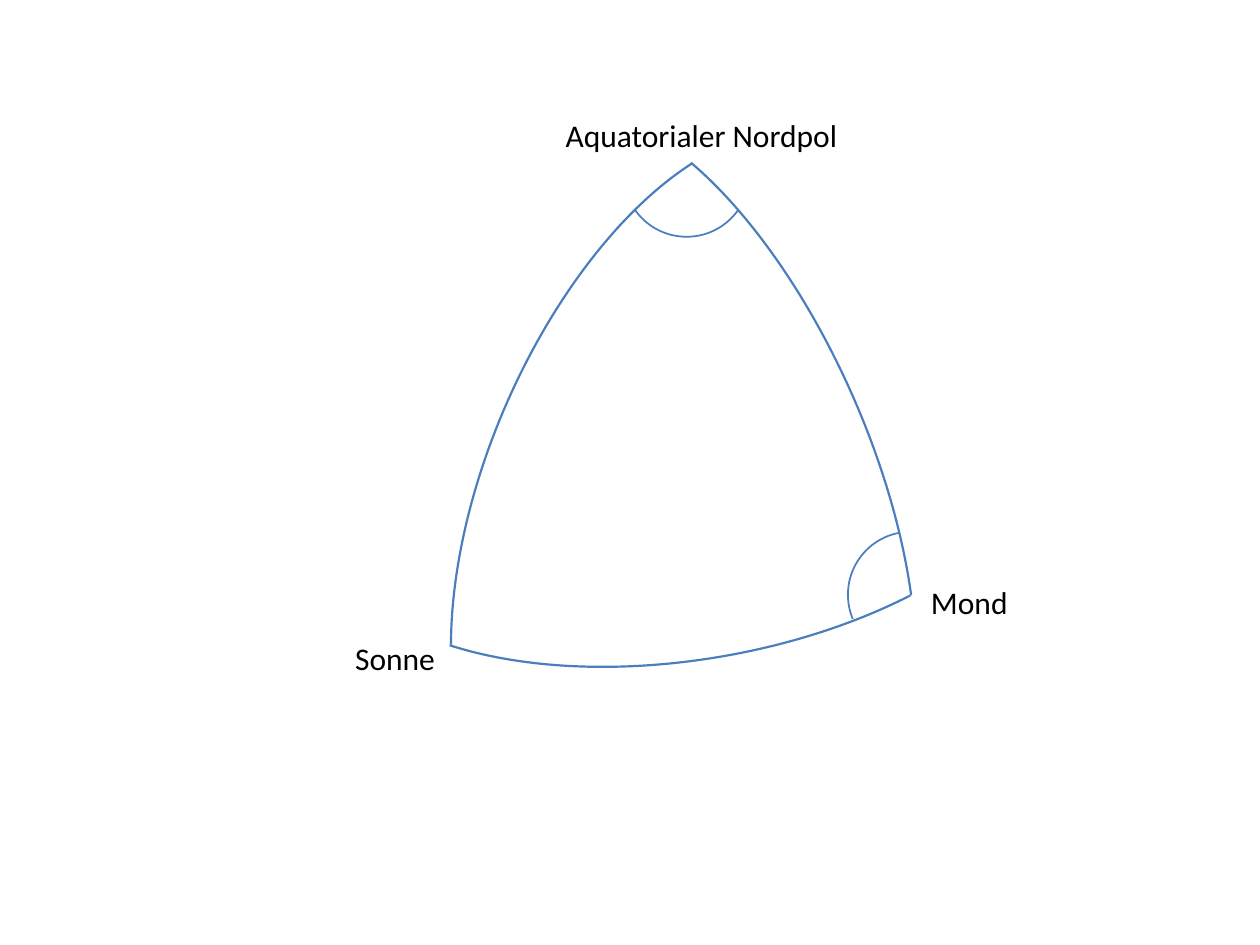
"""Draw the spherical triangle of north pole, sun and moon."""
from typing import NamedTuple

from pptx import Presentation, util as u
from pptx.dml.color import RGBColor
from pptx.enum import shapes, text

PX = u.Inches(1) // 100
BLUE = RGBColor(0x4B, 0x7E, 0xBC)
BLACK = RGBColor(0, 0, 0)
ADJ = 0.6


class Box(NamedTuple):
    x: int
    y: int
    w: int
    h: int

    def emu(self) -> list[int]:
        return [n * PX for n in self]


class Arc(NamedTuple):
    box: Box
    start: float
    end: float
    turn: float = 0
    flip: bool = False
    width: float = 1.25


class Label(NamedTuple):
    box: Box
    words: str


SIDES = [
    Arc(Box(435, 70, 252, 588), 290.81, 57.68, turn=336.1),
    Arc(Box(389, 87, 296, 588), 290.64, 59.52, turn=23.4, flip=True),
    Arc(Box(401, 81, 296, 588), 295.62, 50.71, turn=260.1, flip=True),
]
ANGLES = [
    Arc(Box(673, 422, 100, 100), 157.29, 258.87, width=1),
    Arc(Box(495, 88, 100, 100), 35.51, 145.01, width=1),
]
LABELS = [
    Label(Box(439, 87, 245, 40), "Aquatorialer Nordpol"),
    Label(Box(729, 458, 82, 40), "Mond"),
    Label(Box(272, 502, 84, 40), "Sonne"),
]


def draw_arc(slide, arc: Arc) -> None:
    shape = slide.shapes.add_shape(shapes.MSO_SHAPE.ARC, *arc.box.emu())
    shape.adjustments[0] = arc.start * ADJ
    shape.adjustments[1] = arc.end * ADJ
    shape.rotation = arc.turn
    if arc.flip:
        shape.element.spPr.xfrm.set("flipH", "1")
    shape.shadow.inherit = False
    shape.fill.background()
    shape.line.color.rgb = BLUE
    shape.line.width = u.Pt(arc.width)


def write(slide, box: Box, words: str, *, size: int = 18,
          color: RGBColor = BLACK, face: str = "Calibri") -> None:
    frame = slide.shapes.add_textbox(*box.emu()).text_frame
    frame.word_wrap = False
    frame.auto_size = text.MSO_AUTO_SIZE.SHAPE_TO_FIT_TEXT
    run = frame.paragraphs[0].add_run()
    run.text = words
    run.font.size = u.Pt(size)
    run.font.name = face
    run.font.color.rgb = color


def main() -> None:
    deck = Presentation()
    deck.slide_width, deck.slide_height = 1000 * PX, 750 * PX
    slide = deck.slides.add_slide(deck.slide_layouts[6])
    for arc in SIDES + ANGLES:
        draw_arc(slide, arc)
    for label in LABELS:
        write(slide, label.box, label.words)
    deck.save("out.pptx")


if __name__ == "__main__":
    main()
